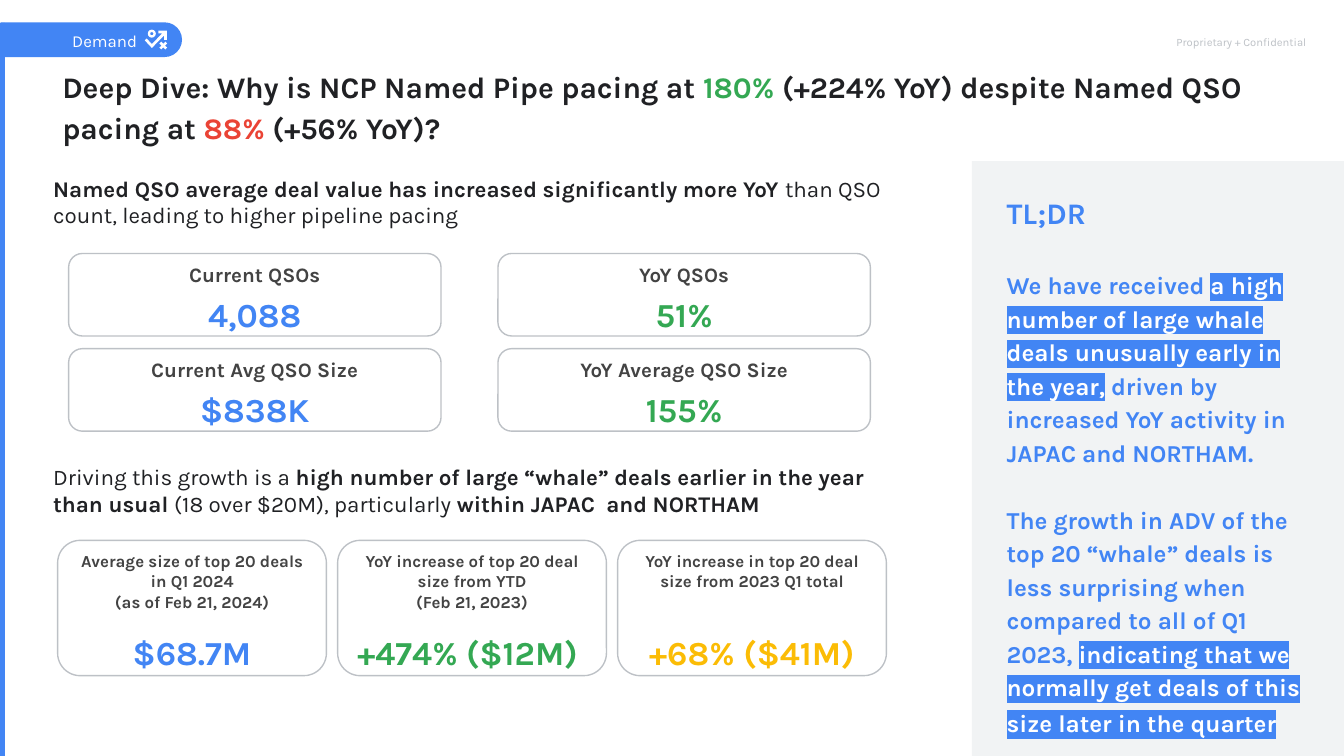
from dataclasses import dataclass
from typing import Optional

from lxml.etree import SubElement
from pptx import Presentation
from pptx.dml.color import RGBColor
from pptx.enum.shapes import MSO_SHAPE as Kind
from pptx.enum.text import MSO_ANCHOR as Anchor, MSO_AUTO_SIZE as Fit, PP_ALIGN as Align
from pptx.oxml.ns import qn
from pptx.util import Pt

FONT = "Karla"
BLUE = RGBColor(0x42, 0x85, 0xF4)
GREEN = RGBColor(0x34, 0xA8, 0x53)
RED = RGBColor(0xEA, 0x43, 0x35)
GOLD = RGBColor(0xFB, 0xBC, 0x05)
INK = RGBColor(0x20, 0x21, 0x24)
SLATE = RGBColor(0x43, 0x43, 0x43)
GRAY = RGBColor(0xBD, 0xC1, 0xC6)
PALE = RGBColor(0xF1, 0xF3, 0xF4)
WHITE = RGBColor(0xFF, 0xFF, 0xFF)


@dataclass
class Run:
    text: str
    size: float
    color: RGBColor
    bold: bool = False
    mark: Optional[RGBColor] = None


@dataclass
class Para:
    runs: list[Run]
    align: Align = Align.LEFT
    line: float = 1.0
    gap: float = 0


@dataclass
class Box:
    x: float
    y: float
    w: float
    h: float


@dataclass
class Stat:
    label: str
    value: str
    color: RGBColor


@dataclass
class Card:
    heads: list[str]
    value: str
    color: RGBColor
    gap: float
    align: Align = Align.CENTER


def place(shape, box: Box) -> None:
    shape.left, shape.top = Pt(box.x), Pt(box.y)
    shape.width, shape.height = Pt(box.w), Pt(box.h)


def style(run, spec: Run) -> None:
    font = run.font
    font.name, font.size, font.bold = FONT, Pt(spec.size), spec.bold
    font.color.rgb = spec.color
    if spec.mark is not None:
        props = run._r.get_or_add_rPr()
        mark = SubElement(props, qn("a:highlight"))
        SubElement(mark, qn("a:srgbClr")).set("val", str(spec.mark))
        props.find(qn("a:solidFill")).addnext(mark)


def write(shape, paras: list[Para], pad: tuple, anchor: Anchor = Anchor.TOP) -> None:
    frame = shape.text_frame
    frame.word_wrap, frame.auto_size = True, Fit.NONE
    frame.vertical_anchor = anchor
    frame.margin_left, frame.margin_top, frame.margin_right, frame.margin_bottom = map(Pt, pad)
    for i, para in enumerate(paras):
        p = frame.add_paragraph() if i else frame.paragraphs[0]
        p.alignment, p.line_spacing = para.align, para.line
        p.space_before = Pt(para.gap)
        p.text = para.runs[0].text
        for spec in para.runs[1:]:
            p.add_run().text = spec.text
        for run, spec in zip(p.runs, para.runs):
            style(run, spec)


def block(slide, kind: Kind, box: Box, fill: RGBColor, edge: Optional[RGBColor] = None):
    shape = slide.shapes.add_shape(kind, Pt(box.x), Pt(box.y), Pt(box.w), Pt(box.h))
    paint(shape, fill)
    if edge is not None:
        shape.line.color.rgb, shape.line.width = edge, Pt(0.75)
    return shape


def paint(shape, fill: RGBColor) -> None:
    shape.shadow.inherit = False
    shape.fill.solid()
    shape.fill.fore_color.rgb = fill
    shape.line.fill.background()


def label(slide, box: Box, paras: list[Para], pad: tuple = (7.2,) * 4,
          anchor: Anchor = Anchor.TOP):
    shape = slide.shapes.add_textbox(Pt(box.x), Pt(box.y), Pt(box.w), Pt(box.h))
    write(shape, paras, pad, anchor)
    return shape


def outline(slide, points: list[tuple[float, float]], fill: RGBColor) -> None:
    spots = [(Pt(x), Pt(y)) for x, y in points]
    pen = slide.shapes.build_freeform(*spots[0])
    pen.add_line_segments(spots[1:], close=True)
    paint(pen.convert_to_shape(), fill)


def panel(slide, box: Box):
    return block(slide, Kind.ROUNDED_RECTANGLE, box, WHITE, GRAY)


def draw_stat(slide, stat: Stat, x: float, y: float) -> None:
    shape = panel(slide, Box(x, y, 199.5, 44.2))
    write(shape, [Para([Run(stat.label, 11, SLATE, True)], Align.CENTER)], CARD_PAD)
    value = label(slide, Box(x + 40.3, y + 14.4, 118.8, 36),
                  [Para([Run(stat.value, 18, stat.color, True)], Align.CENTER)])
    value.text_frame.auto_size = Fit.SHAPE_TO_FIT_TEXT


def draw_card(slide, card: Card, x: float, y: float) -> None:
    paras = [Para([Run(head, 9, SLATE, True)], Align.CENTER) for head in card.heads]
    paras.append(Para([Run(card.value, 18, card.color, True)], card.align, gap=card.gap))
    write(panel(slide, Box(x, y, 144, 72.5)), paras, CARD_PAD)


CARD_PAD = (7.2, 2.16, 7.2, 2.16)
ARROW = [(84.9, 16.4), (84.9, 17.9), (87, 17.9), (81.4, 23.6), (78.6, 20.7), (77.6, 21.7),
         (81.4, 25.7), (88, 19), (88, 21.4), (89.4, 21.4), (89.4, 16.4)]
CROSS = [(86.4, 22.3), (85.4, 23.3), (86.6, 24.5), (85.4, 25.5), (86.4, 26.5), (87.5, 25.4),
         (88.6, 26.5), (89.5, 25.5), (88.4, 24.5), (89.5, 23.3), (88.6, 22.3), (87.5, 23.5)]
STATS = [
    [Stat("Current QSOs", "4,088", BLUE), Stat("YoY QSOs", "51%", GREEN)],
    [Stat("Current Avg QSO Size", "$838K", BLUE), Stat("YoY Average QSO Size", "155%", GREEN)],
]
CARDS = [
    Card(["Average size of top 20 deals in Q1 2024", "(as of Feb 21, 2024)"],
         "$68.7M", BLUE, 11),
    Card(["YoY increase of top 20 deal size from YTD", "(Feb 21, 2023)"],
         "+474% ($12M)", GREEN, 11, Align.LEFT),
    Card(["YoY increase in top 20 deal size from 2023 Q1 total"],
         "+68% ($41M)", GOLD, 22),
]
TITLE = [
    Run("Deep Dive: Why is NCP Named Pipe pacing at ", 16, INK, True),
    Run("180%", 16, GREEN, True),
    Run(" (+224% YoY) despite Named QSO pacing at ", 16, INK, True),
    Run("88%", 16, RED, True),
    Run(" (+56% YoY)?", 16, INK, True),
]
LEADS = [
    (86.4, [
        Run("Named QSO average deal value has increased significantly more YoY", 12, INK, True),
        Run(" than QSO count, leading to higher pipeline pacing", 12, INK),
    ]),
    (241.2, [
        Run("Driving this growth is a ", 12, INK),
        Run("high number of large “whale” deals earlier in the year than usual ", 12, INK, True),
        Run("(18 over $20M), particularly ", 12, INK),
        Run("within JAPAC  and NORTHAM", 12, INK, True),
    ]),
]
DIGEST = [
    Para([Run("TL;DR", 16, BLUE, True)]),
    Para([
        Run("We have received ", 13, BLUE, True),
        Run("a high number of large whale deals unusually early in the year,",
            13, WHITE, True, BLUE),
        Run(" driven by increased YoY activity in JAPAC and NORTHAM.", 13, BLUE, True),
    ], line=1.15, gap=19),
    Para([
        Run("The growth in ADV of the top 20 “whale” deals is less surprising when "
            "compared to all of Q1 2023, ", 13, BLUE, True),
        Run("indicating that we normally get deals of this size later in the quarter",
            13, WHITE, True, BLUE),
        Run(" ", 14, BLUE, True),
    ], line=1.15, gap=18),
]


def main() -> None:
    deck = Presentation()
    deck.slide_width, deck.slide_height = Pt(720), Pt(405)
    slide = deck.slides.add_slide(deck.slide_layouts[0])
    title, topic = slide.placeholders

    tab = block(slide, Kind.ROUND_2_SAME_RECTANGLE, Box(39.6, -27.3, 18.6, 97.2), BLUE)
    tab.rotation = 90
    tab.adjustments[0] = 0.5
    block(slide, Kind.RECTANGLE, Box(0, 12.3, 2.7, 392.7), BLUE)
    label(slide, Box(623.5, 4.5, 76.3, 36),
          [Para([Run("Proprietary + Confidential", 6, GRAY)], Align.RIGHT)],
          (0,) * 4, Anchor.MIDDLE)

    place(topic, Box(5, 12.3, 68.4, 18.7))
    write(topic, [Para([Run("Demand", 9, WHITE)], Align.RIGHT)], (0,) * 4, Anchor.MIDDLE)
    tab.element.addnext(topic.element)
    outline(slide, ARROW, WHITE)
    ring = block(slide, Kind.DONUT, Box(79.2, 15.9, 4.3, 4.3), WHITE)
    ring.adjustments[0] = 0.3
    outline(slide, CROSS, WHITE)

    place(title, Box(33.4, 33.8, 668.9, 32.4))
    write(title, [Para(TITLE, line=1.15)], (0, 0, 7.2, 0))

    block(slide, Kind.RECTANGLE, Box(520.6, 86.4, 199.4, 318.6), PALE)
    label(slide, Box(532.2, 97.2, 178.6, 307.8), DIGEST)
    for y, runs in LEADS:
        label(slide, Box(21.4, y, 468.7, 36), [Para(runs)])
    for row, stats in enumerate(STATS):
        for col, stat in enumerate(stats):
            draw_stat(slide, stat, 36.8 + 230 * col, 135.8 + 51 * row)
    for col, card in enumerate(CARDS):
        draw_card(slide, card, 30.9 + 150 * col, 289.5)
    deck.save("out.pptx")


if __name__ == "__main__":
    main()
